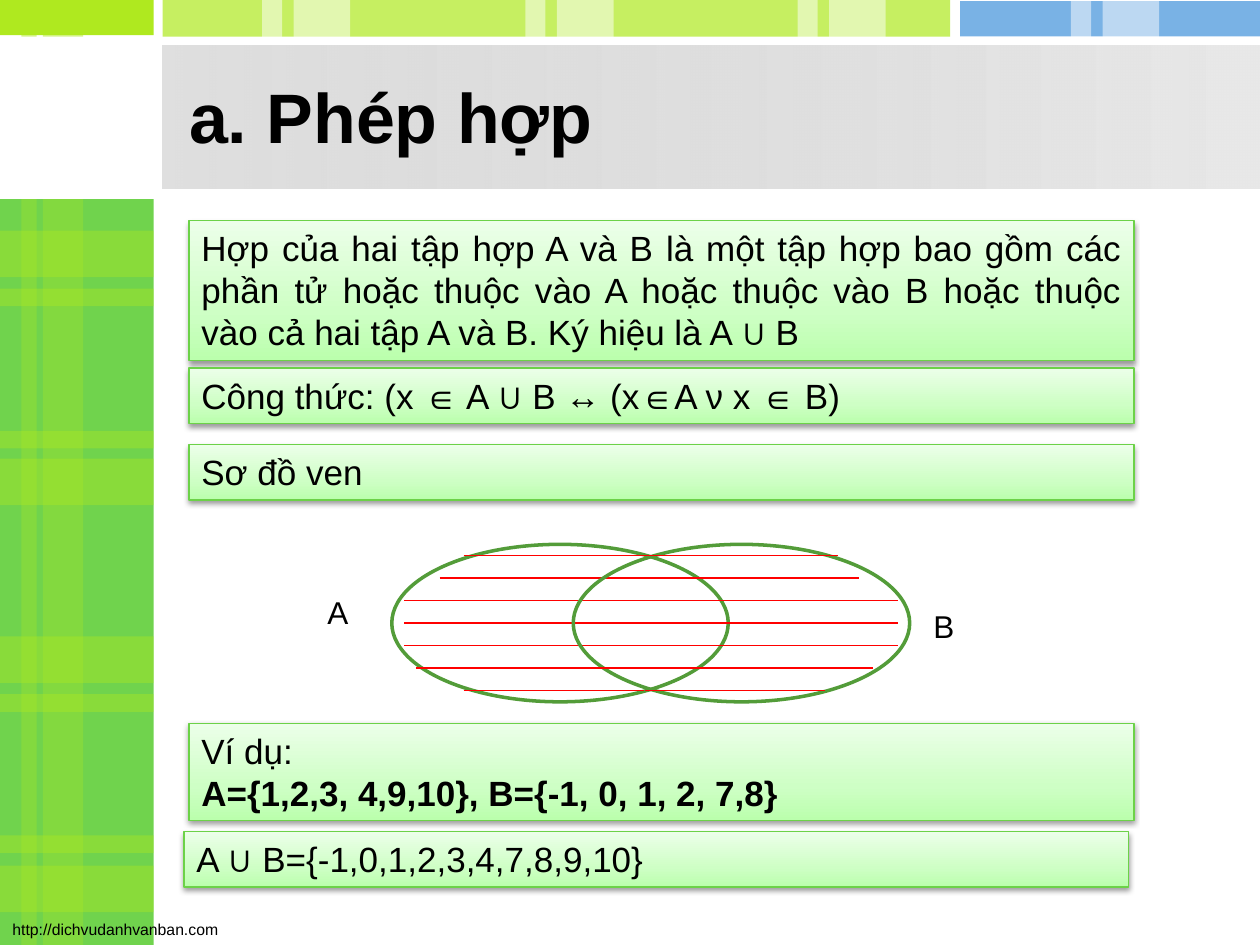
from lxml import etree
from pptx import Presentation
from pptx.dml.color import RGBColor
from pptx.enum.shapes import MSO_CONNECTOR, MSO_SHAPE
from pptx.enum.text import MSO_ANCHOR, PP_ALIGN
from pptx.oxml import parse_xml
from pptx.oxml.ns import qn
from pptx.util import Inches, Pt

RECT, OVAL = MSO_SHAPE.RECTANGLE, MSO_SHAPE.OVAL
STRAIGHT = MSO_CONNECTOR.STRAIGHT
LEFT, JUSTIFY = PP_ALIGN.LEFT, PP_ALIGN.JUSTIFY
TOP, MIDDLE = MSO_ANCHOR.TOP, MSO_ANCHOR.MIDDLE
DRAWING_NS = 'xmlns:a="http://schemas.openxmlformats.org/drawingml/2006/main"'
FONT = "Arial"

COLORS = {
    "lime": "AFE91F", "green": "70D34D", "blue": "4192DB", "white": "FFFFFF",
    "text": "000000", "border": "6CD248", "oval": "539C39", "hatch": "FF0000",
}
# Gradient stops: position %, colour, opacity %
PANEL_STOPS = [(0, "C0C0C0", 50), (100, "E8E8E8", 100)]
BOX_STOPS = [(0, "BBFFAD", 100), (35, "CEFFC5", 100), (100, "ECFFE9", 100)]

TITLE = "a. Phép hợp"
FOOTER = "http://dichvudanhvanban.com"

# Frame blocks: left, top, width, height, colour, opacity %
BLOCKS = [
    (0, 1.58, 1.22, 5.92, "green", 100),
    (0, 0, 1.22, 0.28, "lime", 100),
    (1.29, 0, 6.25, 0.29, "lime", 70),
    (7.62, 0.01, 2.38, 0.28, "blue", 70),
]
SIDE_COLUMNS = [(0.17, 0.12), (0.34, 0.32)]         # left, width
SIDE_BANDS = [(1.83, 2.29), (3.64, 3.42), (5.05, 5.51), (6.87, 6.63)]  # wide, thin
TOP_STRIPES = [2.08, 4.17, 6.33, 8.5]               # left of each pair

# Text boxes: left, top, height, alignment, lines of (text, bold)
BOXES = [
    (1.5, 1.75, 1.11, JUSTIFY, [
        ("Hợp của hai tập hợp A và B là một tập hợp bao gồm các phần tử hoặc "
         "thuộc vào A hoặc thuộc vào B hoặc thuộc vào cả hai tập A và B. "
         "Ký hiệu là A ∪ B", False)]),
    (1.5, 2.92, 0.44, JUSTIFY, [("Công thức: (x ∈ A ∪ B ↔ (x∈A ν x ∈ B)", False)]),
    (1.5, 3.53, 0.44, JUSTIFY, [("Sơ đồ ven", False)]),
    (1.5, 5.74, 0.77, JUSTIFY, [
        ("Ví dụ:", False), ("A={1,2,3, 4,9,10}, B={-1, 0, 1, 2, 7,8}", True)]),
    (1.46, 6.6, 0.44, LEFT, [("A ∪ B={-1,0,1,2,3,4,7,8,9,10}", False)]),
]
BOX_WIDTH = 7.5

# Venn diagram: left edges of the ovals, hatch lines of the first one
OVAL_LEFTS = [3.11, 4.55]
OVAL_TOP, OVAL_WIDTH, OVAL_HEIGHT = 4.32, 2.67, 1.25
HATCH_TOP, HATCH_BOTTOM = 4.41, 5.48
HATCH_SPANS = [(3.68, 5.21), (3.49, 5.38), (3.21, 5.69), (3.21, 5.69),
               (3.21, 5.69), (3.3, 5.49), (3.68, 5.11)]
SET_LABELS = [("A", 2.5, 4.66), ("B", 7.31, 4.77)]


def rgb(name):
    return RGBColor.from_string(COLORS[name])


def add_block(s, shape_type, left, top, width, height):
    sp = s.shapes.add_shape(shape_type, Inches(left), Inches(top),
                            Inches(width), Inches(height))
    sp.shadow.inherit = False
    sp.line.fill.background()
    sp.fill.background()
    return sp


def add_tint(s, left, top, width, height, color, opacity):
    sp = add_block(s, RECT, left, top, width, height)
    sp.fill.solid()
    sp.fill.fore_color.rgb = rgb(color)
    if opacity < 100:
        clr = sp.fill._xPr.find(qn("a:solidFill"))[0]
        etree.SubElement(clr, qn("a:alpha")).set("val", str(opacity * 1000))


def set_gradient(sp, stops, angle):
    stop_xml = "".join(
        f'<a:gs pos="{pos * 1000}"><a:srgbClr val="{color}">'
        f'<a:alpha val="{opacity * 1000}"/></a:srgbClr></a:gs>'
        for pos, color, opacity in stops)
    no_fill = sp._element.spPr.find(qn("a:noFill"))
    no_fill.getparent().replace(no_fill, parse_xml(
        f'<a:gradFill {DRAWING_NS} rotWithShape="1"><a:gsLst>{stop_xml}</a:gsLst>'
        f'<a:lin ang="{angle * 60000}" scaled="0"/></a:gradFill>'))


def add_shadow(sp):
    effects = sp._element.spPr.find(qn("a:effectLst"))
    effects.append(parse_xml(
        f'<a:outerShdw {DRAWING_NS} blurRad="{Pt(3.1)}" dist="{Pt(1.6)}" '
        'dir="5400000" rotWithShape="0"><a:srgbClr val="000000">'
        '<a:alpha val="38000"/></a:srgbClr></a:outerShdw>'))


def set_font(p, size, bold=False):
    p.font.name, p.font.size, p.font.bold = FONT, Pt(size), bold
    p.font.color.rgb = rgb("text")


def add_label(s, text, left, top, width, height, size, wrap=True):
    tf = s.shapes.add_textbox(Inches(left), Inches(top),
                              Inches(width), Inches(height)).text_frame
    tf.word_wrap = wrap
    tf.text = text
    set_font(tf.paragraphs[0], size)


def add_frame(s):
    for block in BLOCKS:
        add_tint(s, *block)
    for left, width in SIDE_COLUMNS:
        add_tint(s, left, 1.58, width, 5.92, "lime", 30)
        add_tint(s, left, 0, width, 0.29, "lime", 50)
    for wide, thin in SIDE_BANDS:
        add_tint(s, 0, wide, 1.22, 0.37, "lime", 40)
        add_tint(s, 0, thin, 1.22, 0.14, "lime", 40)
    for left in TOP_STRIPES:
        add_tint(s, left, 0, 0.16, 0.31, "white", 50)
        add_tint(s, left + 0.25, 0, 0.45, 0.31, "white", 50)
    set_gradient(add_block(s, RECT, 1.29, 0.36, 8.71, 1.14), PANEL_STOPS, 0)
    add_label(s, FOOTER, 0, 7.25, 1.85, 0.25, 9, wrap=False)


def add_title(s):
    title = s.shapes.title
    title.left, title.top = Inches(1.4), Inches(0.5)
    title.width, title.height = Inches(7.1), Inches(0.83)
    tf = title.text_frame
    tf.text = TITLE
    tf.vertical_anchor = MIDDLE
    tf.paragraphs[0].alignment = LEFT
    set_font(tf.paragraphs[0], 40, True)
    # Bring the title in front of the frame
    title._element.getparent().append(title._element)


def add_box(s, left, top, height, alignment, lines):
    sp = add_block(s, RECT, left, top, BOX_WIDTH, height)
    set_gradient(sp, BOX_STOPS, 270)
    add_shadow(sp)
    sp.line.color.rgb = rgb("border")
    sp.line.width = Pt(0.75)
    tf = sp.text_frame
    tf.word_wrap = True
    tf.vertical_anchor = TOP
    for i, (text, bold) in enumerate(lines):
        p = tf.add_paragraph() if i else tf.paragraphs[0]
        p.text = text
        p.alignment = alignment
        set_font(p, 20, bold)


def add_venn(s):
    step = (HATCH_BOTTOM - HATCH_TOP) / (len(HATCH_SPANS) - 1)
    for left in OVAL_LEFTS:
        oval = add_block(s, OVAL, left, OVAL_TOP, OVAL_WIDTH, OVAL_HEIGHT)
        oval.line.color.rgb = rgb("oval")
        oval.line.width = Pt(2)
        shift = left - OVAL_LEFTS[0]
        for i, (start, end) in enumerate(HATCH_SPANS):
            y = Inches(HATCH_TOP + i * step)
            line = s.shapes.add_connector(STRAIGHT, Inches(start + shift), y,
                                          Inches(end + shift), y)
            line.line.color.rgb = rgb("hatch")
            line.line.width = Pt(0.75)
            etree.SubElement(line._element.spPr, qn("a:effectLst"))
    for text, left, top in SET_LABELS:
        add_label(s, text, left, top, 0.61, 0.53, 18)


def main():
    prs = Presentation()
    prs.slide_width, prs.slide_height = Inches(10), Inches(7.5)
    s = prs.slides.add_slide(prs.slide_layouts[5])
    add_frame(s)
    add_title(s)
    for box in BOXES:
        add_box(s, *box)
    add_venn(s)
    prs.save("out.pptx")


if __name__ == "__main__":
    main()
